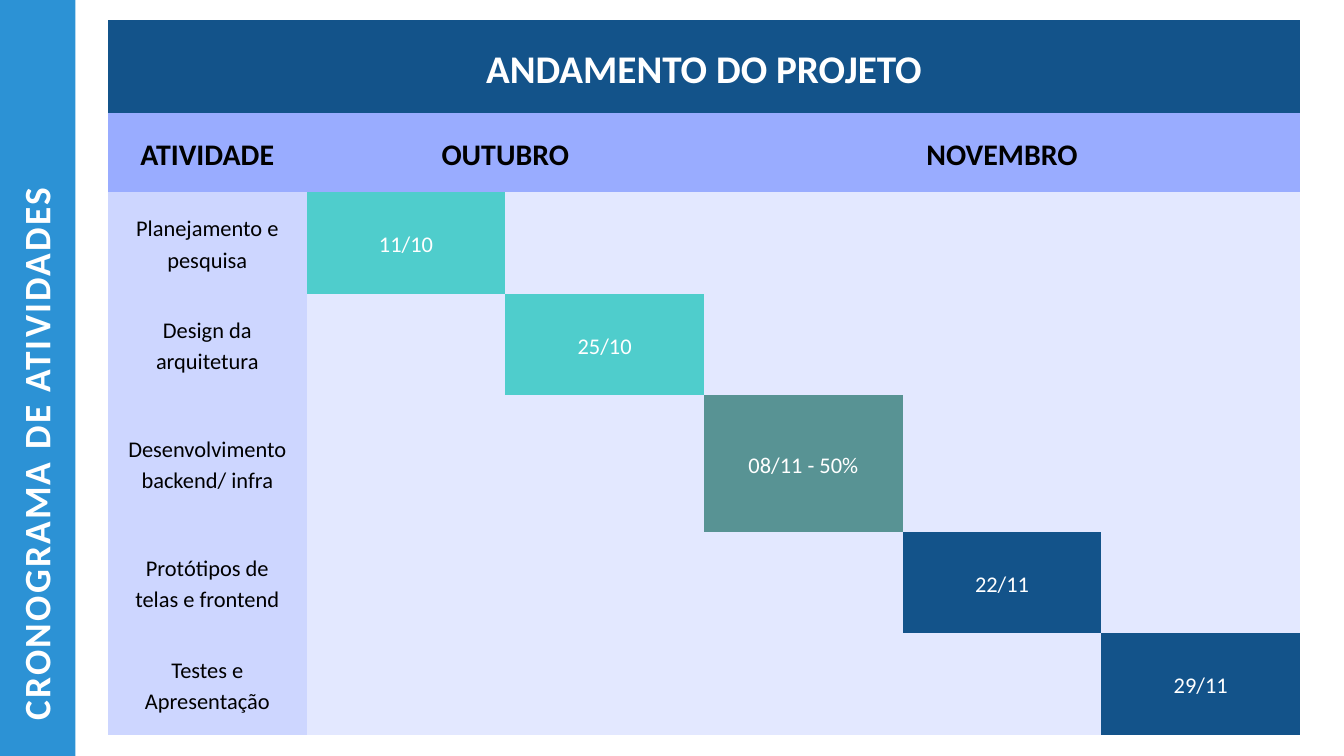
"""Builds a slide with a project schedule: activities by month, and a rotated side title."""
from lxml.etree import SubElement
from pptx import Presentation
from pptx.dml.color import RGBColor
from pptx.enum.shapes import MSO_SHAPE as Shape
from pptx.enum.text import MSO_ANCHOR as Anchor, MSO_AUTO_SIZE as AutoSize, PP_ALIGN as Align
from pptx.oxml.ns import qn
from pptx.util import Cm, Pt

SIDE_TITLE = "CRONOGRAMA DE ATIVIDADES"
TABLE_TITLE = "ANDAMENTO DO PROJETO"
HEADINGS = [("ATIVIDADE", 1), ("OUTUBRO", 2), ("NOVEMBRO", 3)]
ACTIVITIES = [
    ("Planejamento e pesquisa", "11/10", "done"),
    ("Design da arquitetura", "25/10", "done"),
    ("Desenvolvimento backend/ infra", "08/11 - 50%", "partial"),
    ("Protótipos de telas e frontend", "22/11", "navy"),
    ("Testes e Apresentação", "29/11", "navy"),
]
COLORS = {
    "side": "2C92D5", "navy": "13538A", "heading": "99ACFF", "activity": "CDD6FF",
    "empty": "E3E8FF", "done": "4FCDCC", "partial": "589394",
    "white": "FFFFFF", "black": "000000",
}
FONT = "Calibri"
ROW_HEIGHTS = [3.53, 2.97, 3.84, 3.84, 5.16, 3.84, 3.86]
COLUMN_COUNT = 1 + len(ACTIVITIES)
COLUMN_WIDTH = 7.51
INSET = Cm(0.53)


def color(name):
    return RGBColor.from_string(COLORS[name])


def style_text(para, size, ink, bold, leading):
    para.line_spacing = Pt(leading)
    font = para.font
    font.name, font.size, font.bold = FONT, Pt(size), bold
    font.color.rgb = color(ink)


def fill_cell(cell, fill, text="", size=24, ink="black", bold=False):
    properties = cell._tc.get_or_add_tcPr()
    for side in ("a:lnL", "a:lnR", "a:lnT", "a:lnB"):
        SubElement(SubElement(properties, qn(side), w="0"), qn("a:noFill"))
    cell.fill.solid()
    cell.fill.fore_color.rgb = color(fill)
    cell.vertical_anchor = Anchor.MIDDLE
    cell.margin_left = cell.margin_right = cell.margin_top = cell.margin_bottom = INSET
    if text:
        cell.text = text
        para = cell.text_frame.paragraphs[0]
        para.alignment = Align.CENTER
        style_text(para, size, ink, bold, size * 1.4)


def add_side_band(slide, height):
    band = slide.shapes.add_shape(Shape.RECTANGLE, Cm(-0.2), 0, Cm(3.05), height)
    band.shadow.inherit = False
    band.fill.solid()
    band.fill.fore_color.rgb = color("side")
    band.line.fill.background()


def add_schedule(slide):
    table = slide.shapes.add_table(
        len(ROW_HEIGHTS), COLUMN_COUNT, Cm(4.08), Cm(0.76),
        Cm(COLUMN_WIDTH * COLUMN_COUNT), Cm(sum(ROW_HEIGHTS))).table
    for column in table.columns:
        column.width = Cm(COLUMN_WIDTH)
    for row, height in zip(table.rows, ROW_HEIGHTS):
        row.height = Cm(height)

    table.cell(0, 0).merge(table.cell(0, COLUMN_COUNT - 1))
    fill_cell(table.cell(0, 0), "navy", TABLE_TITLE, 42, "white", True)

    start = 0
    for heading, span in HEADINGS:
        if span > 1:
            table.cell(1, start).merge(table.cell(1, start + span - 1))
        fill_cell(table.cell(1, start), "heading", heading, 32, bold=True)
        start += span

    for step, (activity, date, status) in enumerate(ACTIVITIES, start=1):
        row = step + 1
        fill_cell(table.cell(row, 0), "activity", activity)
        for column in range(1, COLUMN_COUNT):
            if column == step:
                fill_cell(table.cell(row, column), status, date, ink="white")
            else:
                fill_cell(table.cell(row, column), "empty")


def add_side_title(slide):
    box = slide.shapes.add_textbox(Cm(-16.59), Cm(8.48), Cm(35.84), Cm(1.68))
    box.rotation = 270
    frame = box.text_frame
    frame.word_wrap = True
    frame.auto_size = AutoSize.SHAPE_TO_FIT_TEXT
    frame.margin_left = frame.margin_right = frame.margin_top = frame.margin_bottom = 0
    para = frame.paragraphs[0]
    style_text(para, 40, "white", True, 48)
    span = para.add_run()
    span.text = SIDE_TITLE
    span.font._element.set("spc", "240")


def main():
    deck = Presentation()
    deck.slide_width, deck.slide_height = Cm(50.8), Cm(28.58)
    slide = deck.slides.add_slide(deck.slide_layouts[6])
    add_side_band(slide, deck.slide_height)
    add_schedule(slide)
    add_side_title(slide)
    deck.save("out.pptx")


if __name__ == "__main__":
    main()
